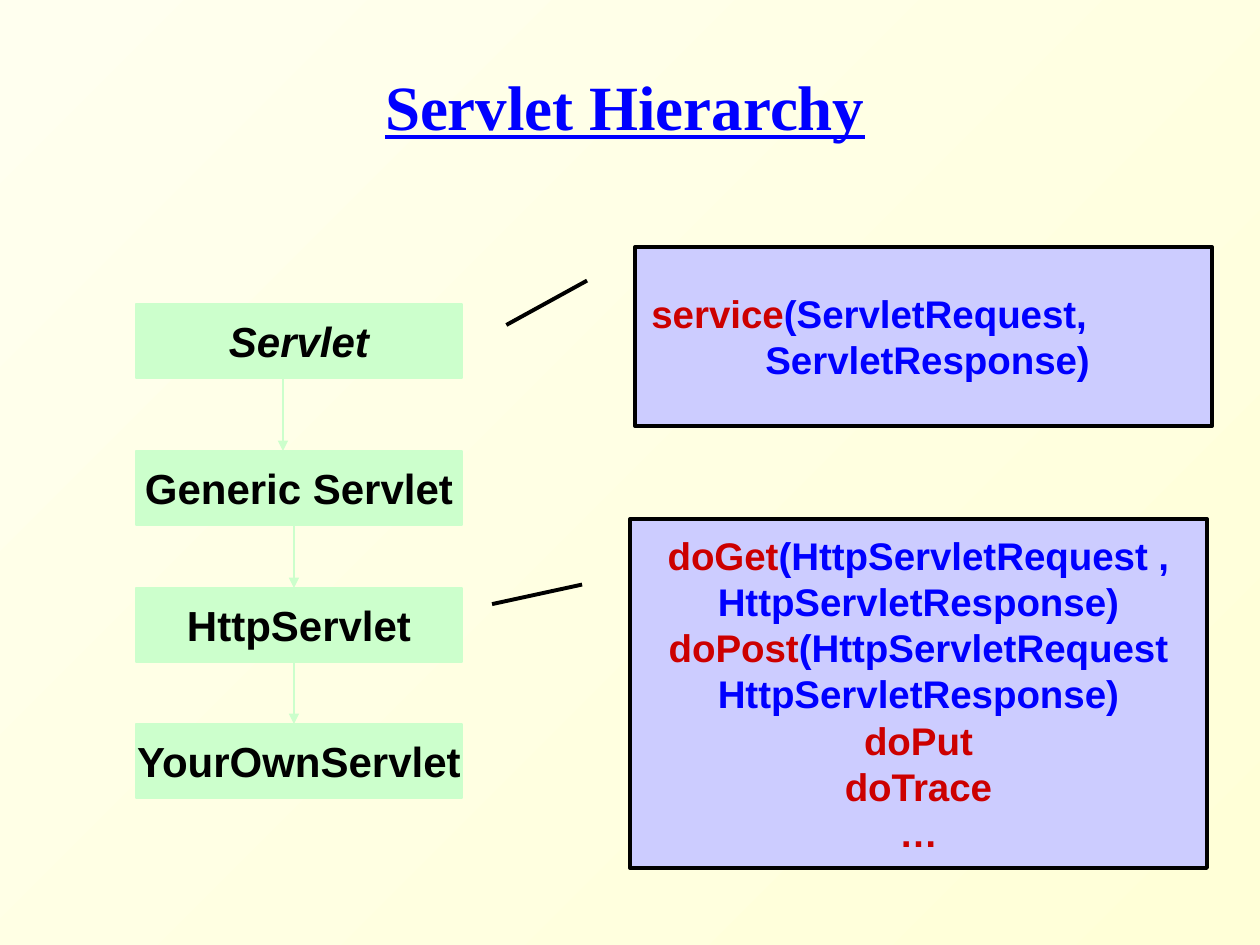
"""Build the Servlet Hierarchy slide with its class chain and method callouts."""
import dataclasses

import pptx
import pptx.dml.color
import pptx.enum.shapes
import pptx.enum.text
import pptx.oxml
import pptx.oxml.ns
import pptx.util

PX = 914400 / 126
SHAPE = pptx.enum.shapes.MSO_SHAPE
ALIGN = pptx.enum.text.PP_ALIGN
AUTO_SIZE = pptx.enum.text.MSO_AUTO_SIZE


@dataclasses.dataclass(frozen=True)
class Theme:
    background: tuple = ("FFFFD7", "FFFFEF")
    heading: str = "0000FF"
    method: str = "CC0000"
    parameters: str = "0000FF"
    ink: str = "000000"
    class_fill: str = "CCFFCC"
    callout_fill: str = "CCCCFF"
    heading_font: str = "Times New Roman"
    body_font: str = "Arial"
    heading_size: int = 36
    class_size: int = 24
    method_size: int = 22


theme = Theme()


def px(*lengths):
    return [round(length * PX) for length in lengths]


def write_text(frame, paragraphs, *, size, font=theme.body_font, align=ALIGN.CENTER,
               italic=None, underline=None, spacing=None, wrap=True,
               auto_size=AUTO_SIZE.NONE, hanging=None):
    frame.word_wrap = wrap
    frame.auto_size = auto_size
    frame.vertical_anchor = pptx.enum.text.MSO_ANCHOR.MIDDLE
    for number, pieces in enumerate(paragraphs):
        paragraph = frame.add_paragraph() if number else frame.paragraphs[0]
        paragraph.alignment = align
        paragraph.line_spacing = spacing
        if hanging:
            margin, indent = px(*hanging)
            properties = paragraph._p.get_or_add_pPr()
            properties.set("marL", str(margin))
            properties.set("indent", str(indent))
        for text, color in pieces:
            for position, line in enumerate(text.split("\n")):
                if position:
                    paragraph.add_line_break()
                run = paragraph.add_run()
                run.text = line
                run.font.name = font
                run.font.size = pptx.util.Pt(size)
                run.font.bold = True
                run.font.italic = italic
                run.font.underline = underline
                run.font.color.rgb = pptx.dml.color.RGBColor.from_string(color)


deck = pptx.Presentation()
deck.slide_width, deck.slide_height = px(1260, 945)
slide = deck.slides.add_slide(deck.slide_layouts[5])

backdrop = slide.background.fill
backdrop.gradient()
backdrop.gradient_angle = 135
for stop, color in zip(backdrop.gradient_stops, theme.background):
    stop.color.rgb = pptx.dml.color.RGBColor.from_string(color)

heading = slide.shapes.title
heading.left, heading.top, heading.width, heading.height = px(126, 53, 998, 116)
write_text(heading.text_frame, [[("Servlet Hierarchy", theme.heading)]],
           size=theme.heading_size, font=theme.heading_font, underline=True, spacing=0.85)

class_green = pptx.dml.color.RGBColor.from_string(theme.class_fill)
class_height = arrow_length = 74
hierarchy = [
    ("YourOwnServlet", 724, 294),
    ("HttpServlet", 588, 294),
    ("Generic Servlet", 451, 283),
    ("Servlet", 304, None),
]
for class_name, top, arrow_x in hierarchy:
    class_box = slide.shapes.add_shape(SHAPE.RECTANGLE, *px(136, top, 326, class_height))
    class_box.shadow.inherit = False
    class_box.fill.solid()
    class_box.fill.fore_color.rgb = class_green
    class_box.line.color.rgb = class_green
    class_box.line.width = pptx.util.Pt(0.75)
    write_text(class_box.text_frame, [[(class_name, theme.ink)]], size=theme.class_size,
               italic=class_name == "Servlet", wrap=False)
    if arrow_x is None:
        continue
    inheritance = slide.shapes.add_connector(
        pptx.enum.shapes.MSO_CONNECTOR.STRAIGHT,
        *px(arrow_x, top - arrow_length, arrow_x, top))
    inheritance.line.color.rgb = class_green
    inheritance.line.width = pptx.util.Pt(0.75)
    properties = inheritance._element.spPr
    arrowhead = pptx.oxml.parse_xml(
        f'<a:tailEnd {pptx.oxml.ns.nsdecls("a")} type="triangle"/>')
    properties.get_or_add_ln().append(arrowhead)
    properties.append(pptx.oxml.parse_xml(f'<a:effectLst {pptx.oxml.ns.nsdecls("a")}/>'))

service_methods = [
    [("service", theme.method), ("(ServletRequest,\nServletResponse)", theme.parameters)],
]
http_methods = [
    [("doGet", theme.method),
     ("(HttpServletRequest , HttpServletResponse)", theme.parameters)],
    [("doPost", theme.method),
     ("(HttpServletRequest HttpServletResponse)", theme.parameters)],
    [("doPut", theme.method)],
    [("doTrace", theme.method)],
    [("…", theme.method)],
]
callouts = [
    (service_methods, (635, 247, 577, 179), (0.436, -0.223), 6,
     {"align": ALIGN.LEFT, "hanging": (118, -114)}),
    (http_methods, (630, 519, 577, 349), (0.244, -0.239), 13,
     {"auto_size": AUTO_SIZE.SHAPE_TO_FIT_TEXT}),
]
for methods, bounds, pointer_end, inset, text_format in callouts:
    callout = slide.shapes.add_shape(SHAPE.LINE_CALLOUT_1, *px(*bounds))
    callout.shadow.inherit = False
    for index, value in enumerate((0.188, -0.083, *pointer_end)):
        callout.adjustments[index] = value
    callout.fill.solid()
    callout.fill.fore_color.rgb = pptx.dml.color.RGBColor.from_string(theme.callout_fill)
    callout.line.color.rgb = pptx.dml.color.RGBColor.from_string(theme.ink)
    callout.line.width = pptx.util.Pt(2.25)
    callout.text_frame.margin_top, callout.text_frame.margin_bottom = px(inset, inset)
    write_text(callout.text_frame, methods, size=theme.method_size, **text_format)

deck.save("out.pptx")
